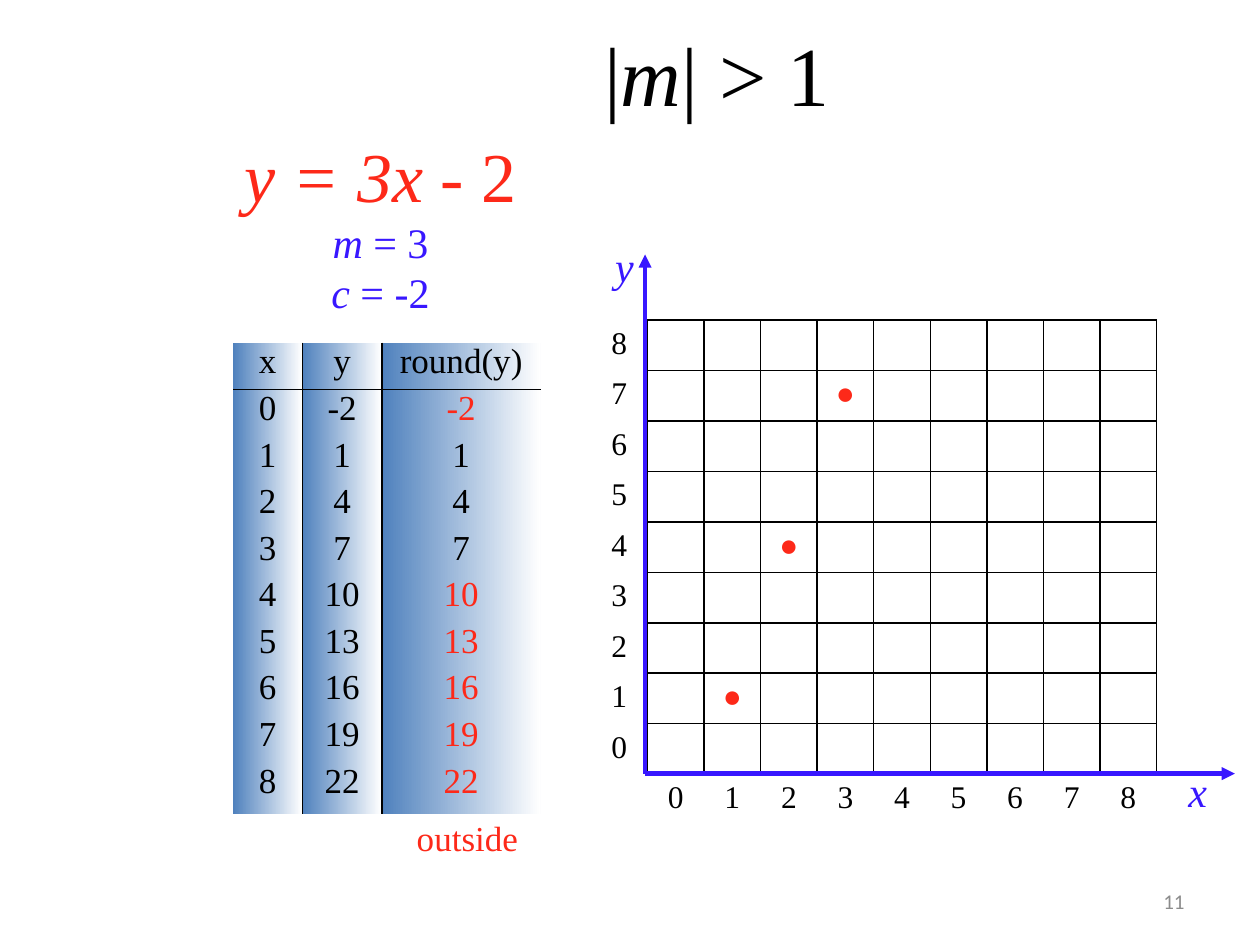
import pptx
import pptx.dml.color
import pptx.enum.shapes
import pptx.enum.text
import pptx.oxml
import pptx.oxml.ns
import pptx.util
from pptx.util import Inches

COLORS = {"ink": "000000", "red": "FD2919", "axis": "3817FF",
          "blue": "4F81BD", "white": "FFFFFF", "gray": "8C8C8C"}
SERIF = "Times New Roman"
ALIGN = pptx.enum.text.PP_ALIGN
ANCHOR = pptx.enum.text.MSO_ANCHOR
NS = pptx.oxml.ns.nsdecls("a")
LIMIT = 8  # highest coordinate shown on the grid


def line_y(x):
    return 3 * x - 2


def rgb(name):
    return pptx.dml.color.RGBColor.from_string(COLORS[name])


def write(paragraph, text, size=18, color="ink", font=SERIF, italic=False,
          align=ALIGN.CENTER, spacing=None):
    """Append one formatted run to the paragraph."""
    paragraph.alignment = align
    if spacing:
        paragraph.line_spacing = spacing
    run = paragraph.add_run()
    run.text = text
    run.font.size = pptx.util.Pt(size)
    run.font.name = font
    run.font.italic = italic
    run.font.color.rgb = rgb(color)


def add_text(slide, box, lines, anchor=ANCHOR.TOP, wrap=True, **style):
    """Each line is a list of (text, own format) pairs."""
    frame = slide.shapes.add_textbox(*map(Inches, box)).text_frame
    frame.word_wrap = wrap
    frame.vertical_anchor = anchor
    for i, line in enumerate(lines):
        paragraph = frame.add_paragraph() if i else frame.paragraphs[0]
        for text, own in line:
            write(paragraph, text, **{**style, **own})


def set_borders(cell, sides):
    """Draw the sides named (of L, R, T, B) and clear the others."""
    properties = cell._tc.get_or_add_tcPr()
    for side in "LRTB":
        paint = (f'<a:solidFill><a:srgbClr val="{COLORS["ink"]}"/></a:solidFill>'
                 if side in sides else "<a:noFill/>")
        properties.append(pptx.oxml.parse_xml(
            f'<a:ln{side} {NS} w="{pptx.util.Pt(1)}">{paint}</a:ln{side}>'))


def add_plain_table(slide, box, widths, heights):
    table = slide.shapes.add_table(
        len(heights), len(widths), *map(Inches, box)).table
    table.first_row = table.horz_banding = False
    for column, width in zip(table.columns, widths):
        column.width = Inches(width)
    for row, height in zip(table.rows, heights):
        row.height = Inches(height)
    return table


def add_axis(slide, start, end):
    axis = slide.shapes.add_connector(
        pptx.enum.shapes.MSO_CONNECTOR.STRAIGHT, *map(Inches, start + end))
    axis.line.color.rgb = rgb("axis")
    axis.line.width = pptx.util.Pt(2.5)
    axis.line._get_or_add_ln().append(
        pptx.oxml.parse_xml(f'<a:tailEnd {NS} type="triangle"/>'))
    axis._element.spPr.append(pptx.oxml.parse_xml(f"<a:effectLst {NS}/>"))


def add_pixel_grid(slide, left, top, width, height):
    count = LIMIT + 2  # one extra row and column hold the labels
    table = add_plain_table(slide, (left, top, width, height),
                            [width / count] * count, [height / count] * count)
    for row in range(count):
        for column in range(count):
            cell = table.cell(row, column)
            x, y = column - 1, LIMIT - row
            inside = x >= 0 and y >= 0
            sides = "LRTB" if inside else "R" if y >= 0 else "T" if x >= 0 else ""
            set_borders(cell, sides)
            cell.fill.background()
            paragraph = cell.text_frame.paragraphs[0]
            if inside and y == line_y(x):
                write(paragraph, "●", color="red")
            elif not inside and max(x, y) >= 0:
                write(paragraph, str(max(x, y)))
            else:
                paragraph._p.append(pptx.oxml.parse_xml(
                    f'<a:endParaRPr {NS} sz="1800"><a:latin typeface="{SERIF}"/>'
                    '</a:endParaRPr>'))


def add_axes(slide, left, top, width, height):
    origin = (left, top + height)
    label = dict(size=24, color="axis", italic=True)
    add_axis(slide, origin, (left, top))
    add_text(slide, (left - 0.34, top - 0.16, 0.35, 0.5), [[("y", {})]],
             wrap=False, **label)
    add_axis(slide, origin, (left + width, top + height))
    add_text(slide, (left + width - 0.47, top + height - 0.11, 0.35, 0.5),
             [[("x", {})]], wrap=False, **label)


def add_value_table(slide, left, top, width, height):
    values = [(x, line_y(x), line_y(x)) for x in range(LIMIT + 1)]
    rows = [("x", "y", "round(y)")] + values
    row_height = 0.37
    heights = [row_height] * len(values) + [height - row_height * len(values)]
    widths = [0.55, 0.63, width - 1.18]
    table = add_plain_table(slide, (left, top, width, height), widths, heights)
    header_rule = {0: "B", 1: "T"}
    for r, row in enumerate(rows):
        for c, value in enumerate(row):
            cell = table.cell(r, c)
            set_borders(cell, ("R", "LR", "L")[c] + header_rule.get(r, ""))
            cell.fill.gradient()
            cell.fill.gradient_angle = 0
            for stop, color in zip(cell.fill.gradient_stops, ("blue", "white")):
                stop.color.rgb = rgb(color)
            outside = r > 0 and c == 2 and not 0 <= value <= LIMIT
            write(cell.text_frame.paragraphs[0], str(value), size=20,
                  color="red" if outside else "ink", spacing=0.8)
    add_text(slide, (left + 1.26, top + height - 0.03, 1.2, 0.43),
             [[("outside", {})]], size=20, color="red")


def add_equation(slide, box):
    italic = dict(italic=True)
    main_line = dict(size=40, color="red")
    add_text(slide, box, [
        [("y = 3x", {**main_line, **italic}), (" - 2", main_line)],
        [("m ", italic), ("= 3", {})],
        [("c ", italic), ("= -2", {})],
    ], size=24, color="axis")


def main():
    deck = pptx.Presentation()
    deck.slide_width, deck.slide_height = Inches(10), Inches(7.5)
    slide = deck.slides.add_slide(deck.slide_layouts[6])
    add_text(slide, (7.17, 6.95, 2.33, 0.4), [[("11", {})]], ANCHOR.MIDDLE,
             size=12, color="gray", font="Calibri", align=ALIGN.RIGHT)
    add_text(slide, (4.47, 0.13, 2.44, 0.9),
             [[("|", {}), ("m", {"italic": True}), ("| > 1", {})]], size=48)
    add_pixel_grid(slide, 4.69, 2.54, 4.49, 4)
    add_equation(slide, (1.38, 1, 3.28, 1.57))
    add_axes(slide, 5.12, 2.02, 4.68, 4.12)
    add_value_table(slide, 1.85, 2.72, 2.44, 3.74)
    deck.save("out.pptx")


if __name__ == "__main__":
    main()
